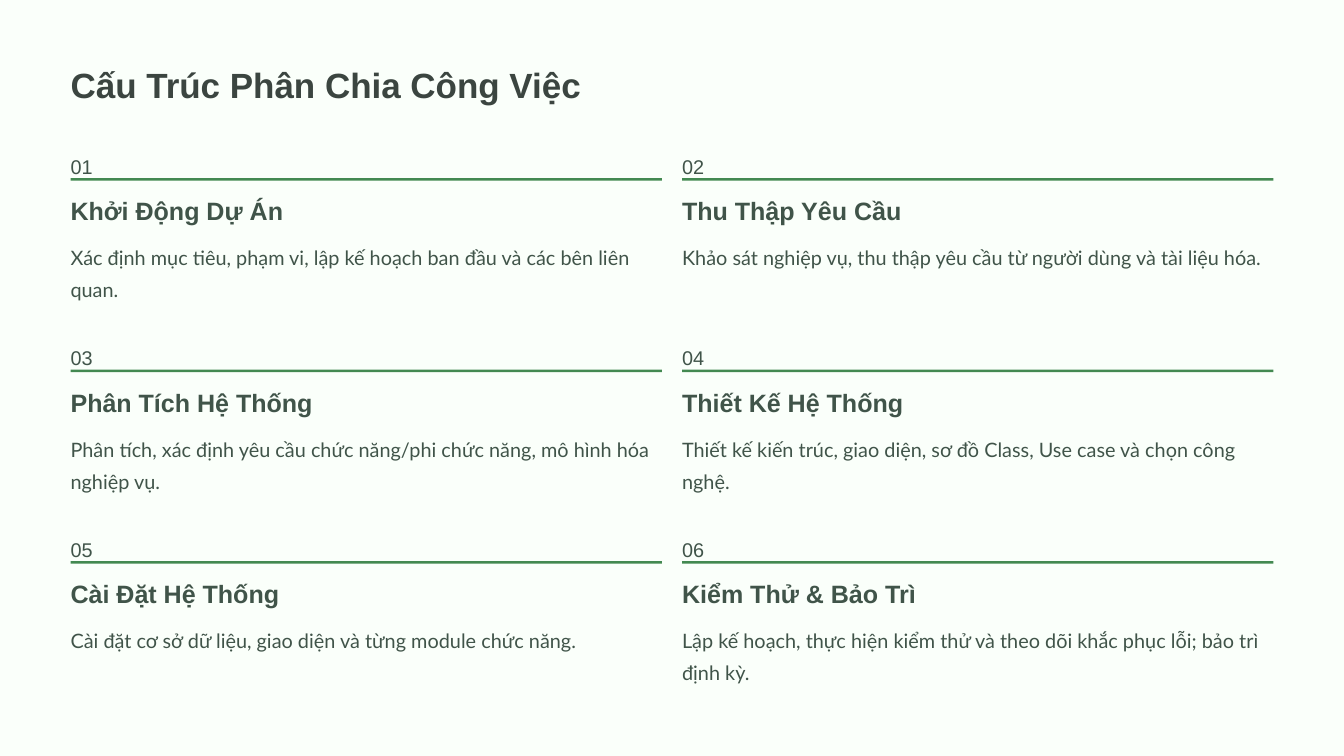
from pptx import Presentation
from pptx import util as u
from pptx.dml.color import RGBColor
from pptx.enum import shapes, text

COLORS = {"page": "FAFFFA", "title": "3B4540", "body": "405449", "rule": "438951"}
WIDTH, HEIGHT = 16, 9
LEFT, TOP = 0.84, 1.74
COLUMN_WIDTH, COLUMN_STEP, ROW_STEP = 7.04, 7.28, 2.28
COLUMNS = 2
STAGES = [
    ("Khởi Động Dự Án",
     "Xác định mục tiêu, phạm vi, lập kế hoạch ban đầu và các bên liên quan."),
    ("Thu Thập Yêu Cầu",
     "Khảo sát nghiệp vụ, thu thập yêu cầu từ người dùng và tài liệu hóa."),
    ("Phân Tích Hệ Thống",
     "Phân tích, xác định yêu cầu chức năng/phi chức năng, mô hình hóa nghiệp vụ."),
    ("Thiết Kế Hệ Thống",
     "Thiết kế kiến trúc, giao diện, sơ đồ Class, Use case và chọn công nghệ."),
    ("Cài Đặt Hệ Thống",
     "Cài đặt cơ sở dữ liệu, giao diện và từng module chức năng."),
    ("Kiểm Thử & Bảo Trì",
     "Lập kế hoạch, thực hiện kiểm thử và theo dõi khắc phục lỗi; bảo trì định kỳ."),
]


def add_text(page, words, area, size, spacing, font="Arial", color="body",
             bold=False, wrap=False):
    """Add a text box without margins that holds one paragraph."""
    box = page.shapes.add_textbox(*map(u.Inches, area))
    frame = box.text_frame
    frame.margin_left = frame.margin_right = frame.margin_top = frame.margin_bottom = 0
    frame.word_wrap = wrap
    frame.vertical_anchor = text.MSO_ANCHOR.TOP
    para = frame.paragraphs[0]
    para.text = words
    para.line_spacing = u.Pt(spacing)
    para.font.name = font
    para.font.size = u.Pt(size)
    para.font.bold = bold
    para.font.color.rgb = RGBColor.from_string(COLORS[color])


def add_block(page, area, color):
    """Add a plain filled rectangle."""
    block = page.shapes.add_shape(shapes.MSO_SHAPE.RECTANGLE, *map(u.Inches, area))
    block.shadow.inherit = False
    block.fill.solid()
    block.fill.fore_color.rgb = RGBColor.from_string(COLORS[color])
    block.line.fill.background()


def add_stage(page, index, heading, detail):
    """Add a numbered stage in its cell of the grid."""
    row, column = divmod(index, COLUMNS)
    left, top = LEFT + column * COLUMN_STEP, TOP + row * ROW_STEP
    add_text(page, f"{index + 1:02}", (left, top, 0.3, 0.3), 17, 27.5)
    add_block(page, (left, top + 0.38, COLUMN_WIDTH, 0.03), "rule")
    add_text(page, heading, (left, top + 0.57, 3.01, 0.38), 21.5, 27, bold=True)
    add_text(page, detail, (left, top + 1.09, COLUMN_WIDTH, 0.77), 17, 27.5,
             font="Lato", wrap=True)


def main():
    """Build the work breakdown slide."""
    deck = Presentation()
    deck.slide_width, deck.slide_height = u.Inches(WIDTH), u.Inches(HEIGHT)
    page = deck.slides.add_slide(deck.slide_layouts[6])
    add_block(page, (0, 0, WIDTH, HEIGHT), "page")
    add_text(page, "Cấu Trúc Phân Chia Công Việc", (LEFT, 0.66, 7.32, 0.6), 30, 43,
             color="title", bold=True)
    for index, (heading, detail) in enumerate(STAGES):
        add_stage(page, index, heading, detail)
    deck.save("out.pptx")


if __name__ == "__main__":
    main()
